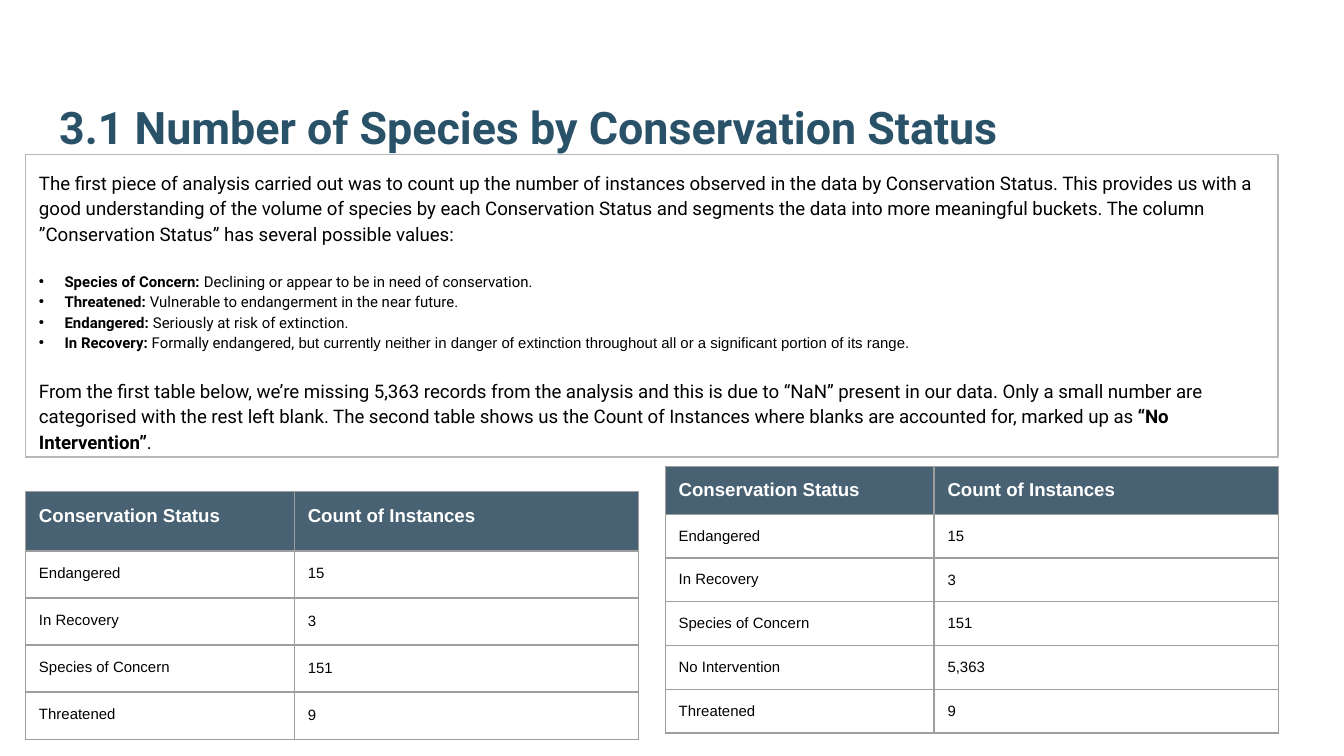
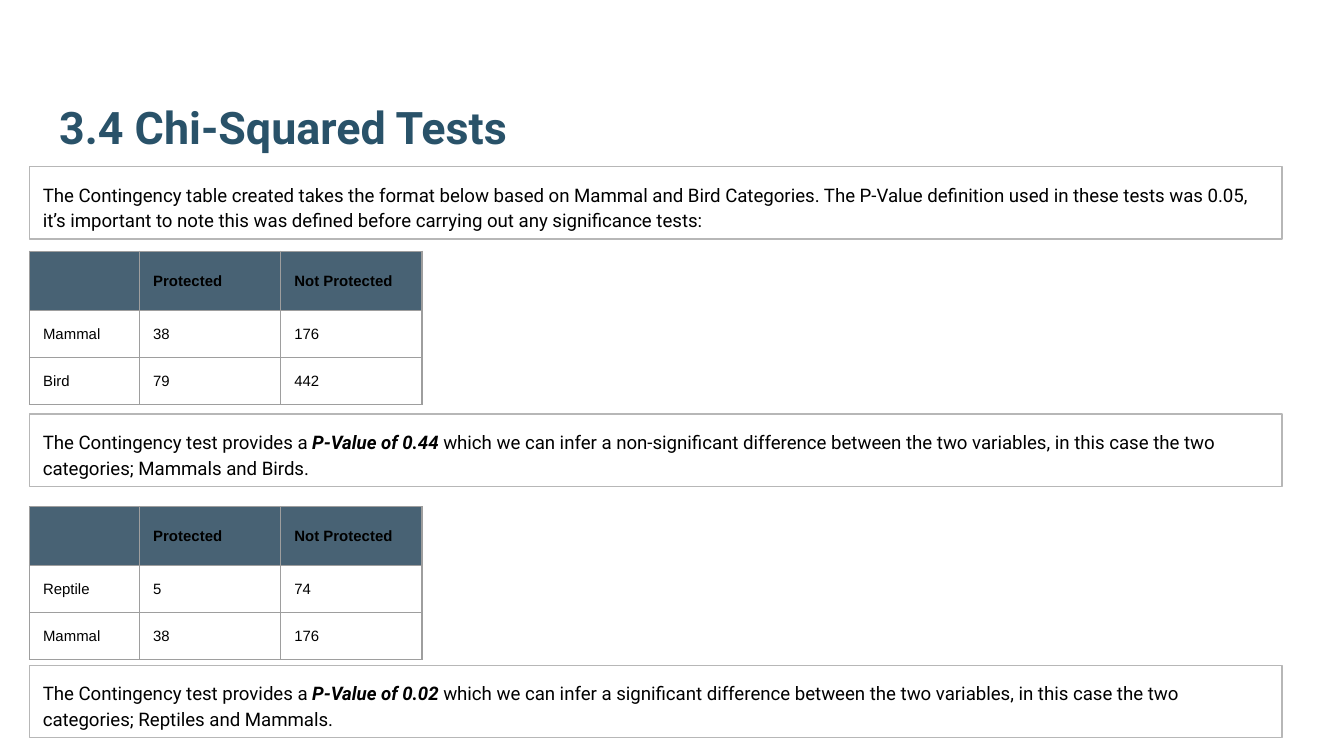
from lxml import etree
from pptx import Presentation
from pptx.dml.color import RGBColor
from pptx.enum.shapes import MSO_SHAPE
from pptx.enum.text import MSO_ANCHOR, MSO_AUTO_SIZE, PP_ALIGN
from pptx.oxml.ns import qn
from pptx.util import Inches, Pt

TITLE_BLUE = RGBColor(0x29, 0x52, 0x69)
HEADER_BLUE = RGBColor(0x20, 0x40, 0x56)
PANEL_GREY = RGBColor(0xB7, 0xB7, 0xB7)
GRID_GREY = RGBColor(0x9E, 0x9E, 0x9E)
BLACK = RGBColor(0, 0, 0)
WHITE = RGBColor(0xFF, 0xFF, 0xFF)

RECTANGLE = MSO_SHAPE.RECTANGLE
TOP, MIDDLE, BOTTOM = MSO_ANCHOR.TOP, MSO_ANCHOR.MIDDLE, MSO_ANCHOR.BOTTOM
NO_AUTOFIT = MSO_AUTO_SIZE.NONE
LEFT = PP_ALIGN.LEFT

SLIDE_WIDTH = 10
SLIDE_HEIGHT = SLIDE_WIDTH * 9 / 16
HEADING_FONT, TABLE_FONT = "Roboto", "Arial"
HEADER_ALPHA = 82
BULLET_INDENT = 0.19
BLOCK_GAP = 13
PANEL_WIDTH = 9.32
TESTS_LEFT = 0.22
STATUS_HEADER = ("Conservation Status", "Count of Instances")
TEST_HEADER = ("", "Protected", "Not Protected")

STATUS_INTRO = (
    "The first piece of analysis carried out was to count up the number of instances "
    "observed in the data by Conservation Status. This provides us with a good "
    "understanding of the volume of species by each Conservation Status and segments "
    "the data into more meaningful buckets. The column ”Conservation Status” has "
    "several possible values:"
)
STATUS_MEANINGS = [
    ("Species of Concern: ", ["Declining or appear to be in need of conservation."]),
    ("Threatened: ", ["Vulnerable to endangerment in the near future."]),
    ("Endangered: ", ["Seriously at risk of extinction."]),
    ("In Recovery: ", [
        "Formally endangered, ",
        ("but currently neither in danger of extinction throughout all or a "
         "significant portion of its range.", {"name": TABLE_FONT}),
    ]),
]
STATUS_NOTE = (
    "From the first table below, we’re missing 5,363 records from the analysis and this "
    "is due to “NaN” present in our data. Only a small number are categorised with the "
    "rest left blank. The second table shows us the Count of Instances where blanks are "
    "accounted for, marked up as "
)
TEST_INTRO = (
    "The Contingency table created takes the format below based on Mammal and Bird "
    "Categories. The P-Value definition used in these tests was 0.05, it’s important to "
    "note this was defined before carrying out any significance tests:"
)
MAMMAL = ("Mammal", "38", "176")
TESTS = [
    (1.87, 3.08, [MAMMAL, ("Bird", "79", "442")],
     "0.44", "non-significant", "Mammals and Birds"),
    (3.77, 4.95, [("Reptile", "5", "74"), MAMMAL],
     "0.02", "significant", "Reptiles and Mammals"),
]


def place(shape, left, top, width, height):
    """Move and size a shape, in inches."""
    shape.left, shape.top = Inches(left), Inches(top)
    shape.width, shape.height = Inches(width), Inches(height)


def set_frame(frame, anchor):
    """Give a text frame its wrapping, anchor and equal insets."""
    frame.word_wrap = True
    frame.auto_size = NO_AUTOFIT
    frame.vertical_anchor = anchor
    frame.margin_left = frame.margin_right = Inches(0.1)
    frame.margin_top = frame.margin_bottom = Inches(0.1)


def set_font(font, name, size, color):
    """Set typeface, size and colour."""
    font.name, font.size = name, Pt(size)
    font.color.rgb = color


def set_bullet(para, bulleted):
    """Give a paragraph a hanging bullet, or none."""
    props = para._p.get_or_add_pPr()
    indent = Inches(BULLET_INDENT) if bulleted else 0
    props.set("marL", str(indent))
    props.set("indent", str(-indent))
    if not bulleted:
        etree.SubElement(props, qn("a:buNone"))
        return
    color = etree.SubElement(props, qn("a:buClr"))
    etree.SubElement(color, qn("a:srgbClr"), val=str(BLACK))
    etree.SubElement(props, qn("a:buFont"), typeface=TABLE_FONT)
    etree.SubElement(props, qn("a:buChar"), char="•")


def write_para(para, spans, size=10, bulleted=False, gap=0):
    """Write spans, each plain text or text with font settings."""
    set_bullet(para, bulleted)
    para.alignment = LEFT
    para.line_spacing = 1.15
    para.space_before = Pt(gap)
    set_font(para.font, HEADING_FONT, size, BLACK)
    for span in spans:
        text, settings = (span, {}) if isinstance(span, str) else span
        run = para.add_run()
        run.text = text
        for key, value in settings.items():
            setattr(run.font, key, value)


def add_title(page, text, width):
    """Fill and format the title placeholder."""
    title = page.shapes.title
    place(title, 0.34, 0.32, width, 0.92)
    set_frame(title.text_frame, BOTTOM)
    para = title.text_frame.paragraphs[0]
    para.text = text
    para.alignment = LEFT
    set_font(para.font, HEADING_FONT, 24, TITLE_BLUE)
    para.font.bold = True


def style_panel(box):
    """Outline a text panel in grey."""
    box.fill.background()
    box.line.color.rgb = PANEL_GREY
    box.line.width = Pt(0.75)
    set_frame(box.text_frame, TOP)


def add_panel(page, top, spans):
    """Add an outlined panel with one paragraph."""
    box = page.shapes.add_shape(RECTANGLE, Inches(TESTS_LEFT), Inches(top),
                                Inches(PANEL_WIDTH), Inches(0.54))
    box.shadow.inherit = False
    style_panel(box)
    write_para(box.text_frame.paragraphs[0], spans)


def style_cell(cell, header):
    """Draw the cell's grid lines and its header fill."""
    props = cell._tc.get_or_add_tcPr()
    for side in ("a:lnL", "a:lnR", "a:lnT", "a:lnB"):
        line = etree.SubElement(props, qn(side), w=str(Pt(0.75)))
        fill = etree.SubElement(line, qn("a:solidFill"))
        etree.SubElement(fill, qn("a:srgbClr"), val=str(GRID_GREY))
    if not header:
        cell.fill.background()
        return
    cell.fill.solid()
    cell.fill.fore_color.rgb = HEADER_BLUE
    color = props.find(qn("a:solidFill")).find(qn("a:srgbClr"))
    etree.SubElement(color, qn("a:alpha"), val=str(HEADER_ALPHA * 1000))


def add_grid(page, left, top, widths, heights, rows, header_size, header_color, is_middle):
    """Add a table whose first row is the header."""
    frame = page.shapes.add_table(len(rows), len(widths), Inches(left), Inches(top),
                                  Inches(sum(widths)), Inches(sum(heights)))
    table = frame.table
    table.horz_banding = False
    for column, width in zip(table.columns, widths):
        column.width = Inches(width)
    for r, (values, height) in enumerate(zip(rows, heights)):
        table.rows[r].height = Inches(height)
        header = r == 0
        for c, value in enumerate(values):
            cell = table.cell(r, c)
            style_cell(cell, header)
            middle = is_middle(r, c)
            cell.vertical_anchor = MIDDLE if middle else TOP
            cell.margin_top = cell.margin_bottom = Inches(0.05 if middle else 0.1)
            para = cell.text_frame.paragraphs[0]
            para.text = value
            set_font(para.font, TABLE_FONT, header_size if header else 8,
                     header_color if header else BLACK)
            para.font.bold = header


def add_status_table(page, left, top, heights, rows):
    """Add a table of instances by conservation status."""
    add_grid(page, left, top, (2, 2.56), heights, [STATUS_HEADER, *rows], 10, WHITE,
             lambda r, c: r > 1 and c == 1)


def add_test_table(page, top, rows):
    """Add a contingency table."""
    add_grid(page, TESTS_LEFT, top, (0.82, 1.05, 1.05), (0.44, 0.35, 0.35),
             [TEST_HEADER, *rows], 8, BLACK, lambda r, c: True)


def build_status_page(deck):
    """Build the page on species by conservation status."""
    page = deck.slides.add_slide(deck.slide_layouts[1])
    add_title(page, "3.1 Number of Species by Conservation Status", 9.32)
    body = page.placeholders[1]
    place(body, 0.19, 1.15, PANEL_WIDTH, 2.25)
    style_panel(body)
    frame = body.text_frame
    write_para(frame.paragraphs[0], [STATUS_INTRO])
    for number, (status, meaning) in enumerate(STATUS_MEANINGS):
        write_para(frame.add_paragraph(), [(status, {"bold": True}), *meaning], size=8,
                   bulleted=True, gap=0 if number else BLOCK_GAP)
    write_para(frame.add_paragraph(),
               [STATUS_NOTE, ("“No Intervention”", {"bold": True}), "."], gap=BLOCK_GAP)

    counts = [("Endangered", "15"), ("In Recovery", "3"),
              ("Species of Concern", "151"), ("Threatened", "9")]
    add_status_table(page, 0.19, 3.66, [0.44] + [0.35] * 4, counts)
    full_counts = [*counts[:3], ("No Intervention", "5,363"), counts[3]]
    add_status_table(page, 4.95, 3.47, [0.35] + [0.32] * 5, full_counts)


def build_tests_page(deck):
    """Build the page on chi-squared tests."""
    page = deck.slides.add_slide(deck.slide_layouts[5])
    add_title(page, "3.4 Chi-Squared Tests", 9.66)
    add_panel(page, 1.24, [TEST_INTRO])
    for table_top, panel_top, rows, p_value, verdict, pair in TESTS:
        add_test_table(page, table_top, rows)
        add_panel(page, panel_top, [
            "The Contingency test provides a ",
            (f"P-Value of {p_value} ", {"bold": True, "italic": True}),
            f"which we can infer a {verdict} difference between the two variables, "
            f"in this case the two categories; {pair}.",
        ])


def main():
    """Build and save the deck."""
    deck = Presentation()
    deck.slide_width, deck.slide_height = Inches(SLIDE_WIDTH), Inches(SLIDE_HEIGHT)
    build_status_page(deck)
    build_tests_page(deck)
    deck.save("out.pptx")


if __name__ == "__main__":
    main()
